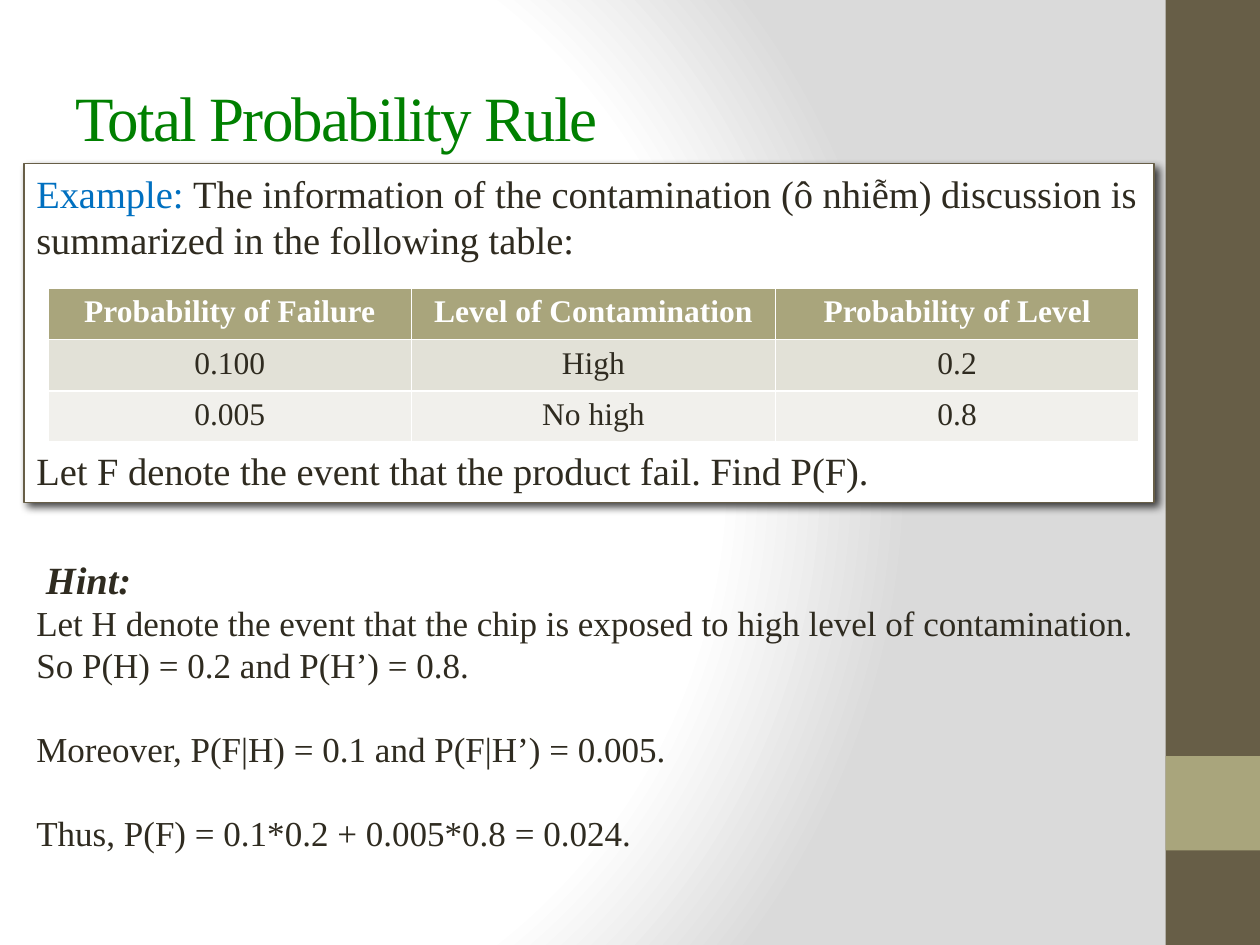
"""Build the Total Probability Rule slide."""
from lxml.etree import SubElement
from pptx import Presentation
from pptx.dml.color import RGBColor
from pptx.enum.shapes import MSO_SHAPE
from pptx.enum.text import MSO_ANCHOR, PP_ALIGN
from pptx.oxml import parse_xml
from pptx.oxml.ns import nsdecls, qn
from pptx.util import Pt

PX = 9144
FONT = "Times New Roman"
WHITE = RGBColor(0xFF, 0xFF, 0xFF)
INK = RGBColor(0x2F, 0x2B, 0x20)
GREEN = RGBColor(0x00, 0x80, 0x00)
BLUE = RGBColor(0x00, 0x70, 0xC0)
BROWN = RGBColor(0x67, 0x5E, 0x47)
OLIVE = RGBColor(0xA9, 0xA5, 0x7C)
BAND_DARK = RGBColor(0xE2, 0xE1, 0xD7)
BAND_LIGHT = RGBColor(0xF1, 0xF0, 0xEC)


def add_run(p, text, size, color, **fmt):
    r = p.add_run()
    r.text = text
    r.font.color.rgb = color
    for name, value in {"name": FONT, "size": Pt(size), **fmt}.items():
        setattr(r.font, name, value)
    return r


def add_rect(shapes, box, color):
    sp = shapes.add_shape(MSO_SHAPE.RECTANGLE, *(v * PX for v in box))
    sp.shadow.inherit = False
    sp.fill.solid()
    sp.fill.fore_color.rgb = color
    sp.line.fill.background()
    return sp


prs = Presentation()
prs.slide_width, prs.slide_height = 1000 * PX, 750 * PX
s = prs.slides.add_slide(prs.slide_layouts[5])

stops = "".join(
    f'<a:gs pos="{pos}000"><a:srgbClr val="{color}"/></a:gs>'
    for pos, color in ((0, "FFFFFF"), (75, "FFFFFF"), (100, "DADADA"))
)
bg = parse_xml(
    f'<p:bg {nsdecls("p", "a")}><p:bgPr><a:gradFill rotWithShape="1">'
    f'<a:gsLst>{stops}</a:gsLst><a:path path="circle">'
    '<a:fillToRect l="20000" t="50000" r="100000" b="50000"/></a:path>'
    "</a:gradFill><a:effectLst/></p:bgPr></p:bg>"
)
s.element.cSld.insert(0, bg)

for box, color in (((925, 0, 75, 750), BROWN), ((925, 600, 75, 75), OLIVE)):
    add_rect(s.shapes, box, color)

title = s.shapes.title
for name, value in {"left": 50, "top": 30, "width": 833, "height": 125}.items():
    setattr(title, name, value * PX)
tf = title.text_frame
tf.vertical_anchor = MSO_ANCHOR.MIDDLE
p = tf.paragraphs[0]
p.alignment = PP_ALIGN.LEFT
r = add_run(p, "Total Probability Rule", 36, GREEN)
r.font._element.set("spc", "-100")

example = add_rect(s.shapes, (19, 130, 897, 269), WHITE)
example.line.color.rgb = BROWN
example.line.width = Pt(0.75)
effects = example._element.spPr.find(qn("a:effectLst"))
shadow = SubElement(effects, qn("a:outerShdw"), blurRad=str(Pt(5)), dist=str(Pt(3)),
                    dir="2700000", algn="tl", rotWithShape="0")
shade = SubElement(shadow, qn("a:srgbClr"), val="000000")
SubElement(shade, qn("a:alpha"), val="75000")

hint = s.shapes.add_textbox(*(v * PX for v in (19, 436, 897, 249)))

EXAMPLE_TEXT = [
    (0, 22, [("Example: ", BLUE, {}),
             ("The information of the contamination (ô nhiễm) discussion is "
              "summarized in the following table:", INK, {})]),
    (4, 22, [("Let F denote the event that the product fail. Find P(F).", INK, {})]),
]
HINT_TEXT = [
    (0, 22, [(" ", INK, {"bold": True}), ("Hint:", INK, {"bold": True, "italic": True})]),
    (0, 20, [("Let H denote the event that the chip is exposed to high level of "
              "contamination.", INK, {})]),
    (0, 20, [("So P(H) = 0.2 and P(H’) = 0.8.", INK, {})]),
    (1, 20, [("Moreover, P(F|H) = 0.1 and P(F|H’) = 0.005.", INK, {})]),
    (1, 20, [("Thus, P(F) = 0.1*0.2 + 0.005*0.8 = 0.024.", INK, {})]),
]
for sp, paragraphs in ((example, EXAMPLE_TEXT), (hint, HINT_TEXT)):
    tf = sp.text_frame
    tf.word_wrap = True
    tf.vertical_anchor = MSO_ANCHOR.TOP
    for i, (gap_lines, size, runs) in enumerate(paragraphs):
        p = tf.add_paragraph() if i else tf.paragraphs[0]
        leading = Pt(size * 1.2)
        for name, value in {"alignment": PP_ALIGN.LEFT, "line_spacing": leading,
                            "space_before": gap_lines * leading}.items():
            setattr(p, name, value)
        for text, color, fmt in runs:
            add_run(p, text, size, color, **fmt)

ROWS = [
    (OLIVE, WHITE, ("Probability of Failure", "Level of Contamination", "Probability of Level")),
    (BAND_DARK, INK, ("0.100", "High", "0.2")),
    (BAND_LIGHT, INK, ("0.005", "No high", "0.8")),
]
table = s.shapes.add_table(3, 3, *(v * PX for v in (38, 229, 866, 122))).table
for i, (fill, color, texts) in enumerate(ROWS):
    for j, text in enumerate(texts):
        cell = table.cell(i, j)
        cell.fill.solid()
        cell.fill.fore_color.rgb = fill
        p = cell.text_frame.paragraphs[0]
        p.alignment = PP_ALIGN.CENTER
        add_run(p, text, 18, color, bold=i == 0)

prs.save("out.pptx")
